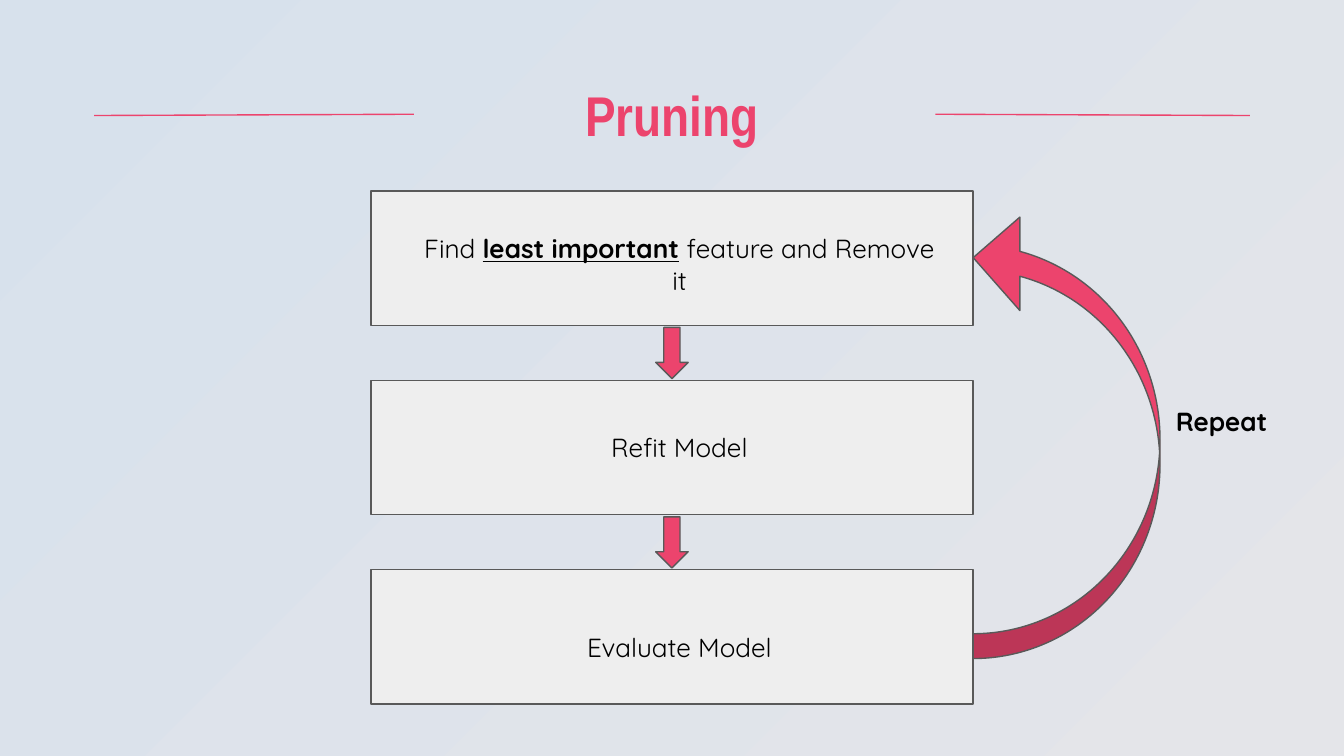
import pptx
import pptx.util
import pptx.dml.color
import pptx.enum.shapes
import pptx.enum.text
import pptx.oxml

Pt = pptx.util.Pt
Kind = pptx.enum.shapes.MSO_SHAPE
Text = pptx.enum.text
hexes = {"rose": "EC446D", "box": "EEEEEE", "edge": "595959",
         "ink": "000000", "light": "E4E5E9", "blue": "D7E1EC"}
tint = {name: pptx.dml.color.RGBColor.from_string(code)
        for name, code in hexes.items()}

deck = pptx.Presentation()
deck.slide_width, deck.slide_height = Pt(720), Pt(405)
slide = deck.slides.add_slide(deck.slide_layouts[5])
shapes = slide.shapes

back = slide.background.fill
back.gradient()
back.gradient_angle = 135
for stop, name in zip(back.gradient_stops, ("light", "blue")):
    stop.color.rgb = tint[name]


def draw(kind, x, y, w, h, fill):
    shape = shapes.add_shape(kind, Pt(x), Pt(y), Pt(w), Pt(h))
    shape.shadow.inherit = False
    shape.fill.solid()
    shape.fill.fore_color.rgb = tint[fill]
    shape.line.color.rgb = tint["edge"]
    shape.line.width = Pt(0.75)
    return shape


def write(frame, runs, font, size, color):
    frame.word_wrap = True
    frame.margin_left = frame.margin_right = Pt(7.2)
    frame.margin_top = frame.margin_bottom = Pt(7.2)
    para = frame.paragraphs[0]
    para.alignment = Text.PP_ALIGN.CENTER
    para.font.name = font
    para.font.size = Pt(size)
    para.font.color.rgb = tint[color]
    for words, bold, under in runs:
        run = para.add_run()
        run.text = words
        run.font.bold = bold
        run.font.underline = under


title = shapes.title
title.left, title.top = Pt(56.2), Pt(42.5)
title.width, title.height = Pt(607.6), Pt(37.4)
write(title.text_frame, [("Pruning", True, False)], "Arial Narrow", 30, "rose")
title.text_frame.vertical_anchor = Text.MSO_ANCHOR.MIDDLE
title.text_frame.auto_size = Text.MSO_AUTO_SIZE.NONE

for start, end in (((221.8, 61.2), (50.4, 61.9)), ((669.6, 61.9), (501.1, 61.2))):
    rule = shapes.add_connector(pptx.enum.shapes.MSO_CONNECTOR.STRAIGHT,
                                *map(Pt, start + end))
    rule.line.color.rgb = tint["rose"]
    rule.line.width = Pt(0.75)
    rule._element.spPr.append(pptx.oxml.parse_xml(
        '<a:effectLst xmlns:a="http://schemas.openxmlformats.org/drawingml/2006/main"/>'))

step = 101.5
for row in range(3):
    draw(Kind.RECTANGLE, 198.7, 102.3 + row * step, 322.6, 72, "box")

labels = [
    (218.2, 117.4, 291.6, [("Find ", False, False),
                           ("least important", True, True),
                           (" feature and Remove it", False, False)]),
    (218.2, 223.9, 291.6, [("Refit Model", False, False)]),
    (218.2, 331.2, 291.6, [("Evaluate Model", False, False)]),
    (614.9, 210.2, 79.2, [("Repeat", True, False)]),
]
for x, y, w, runs in labels:
    label = shapes.add_textbox(Pt(x), Pt(y), Pt(w), Pt(31.7))
    write(label.text_frame, runs, "Quicksand", 14, "ink")
    label.text_frame.auto_size = Text.MSO_AUTO_SIZE.SHAPE_TO_FIT_TEXT

loop = draw(Kind.CURVED_LEFT_ARROW, 521.3, 113, 100.1, 239.8, "rose")
loop.rotation = 180
loop._element.spPr.xfrm.set("flipH", "1")
for place, value in enumerate((0.133, 0.5, 0.25)):
    loop.adjustments[place] = value

for row in range(2):
    draw(Kind.DOWN_ARROW, 351.3, 175.4 + row * step, 17.4, 27.4, "rose")

deck.save("out.pptx")
